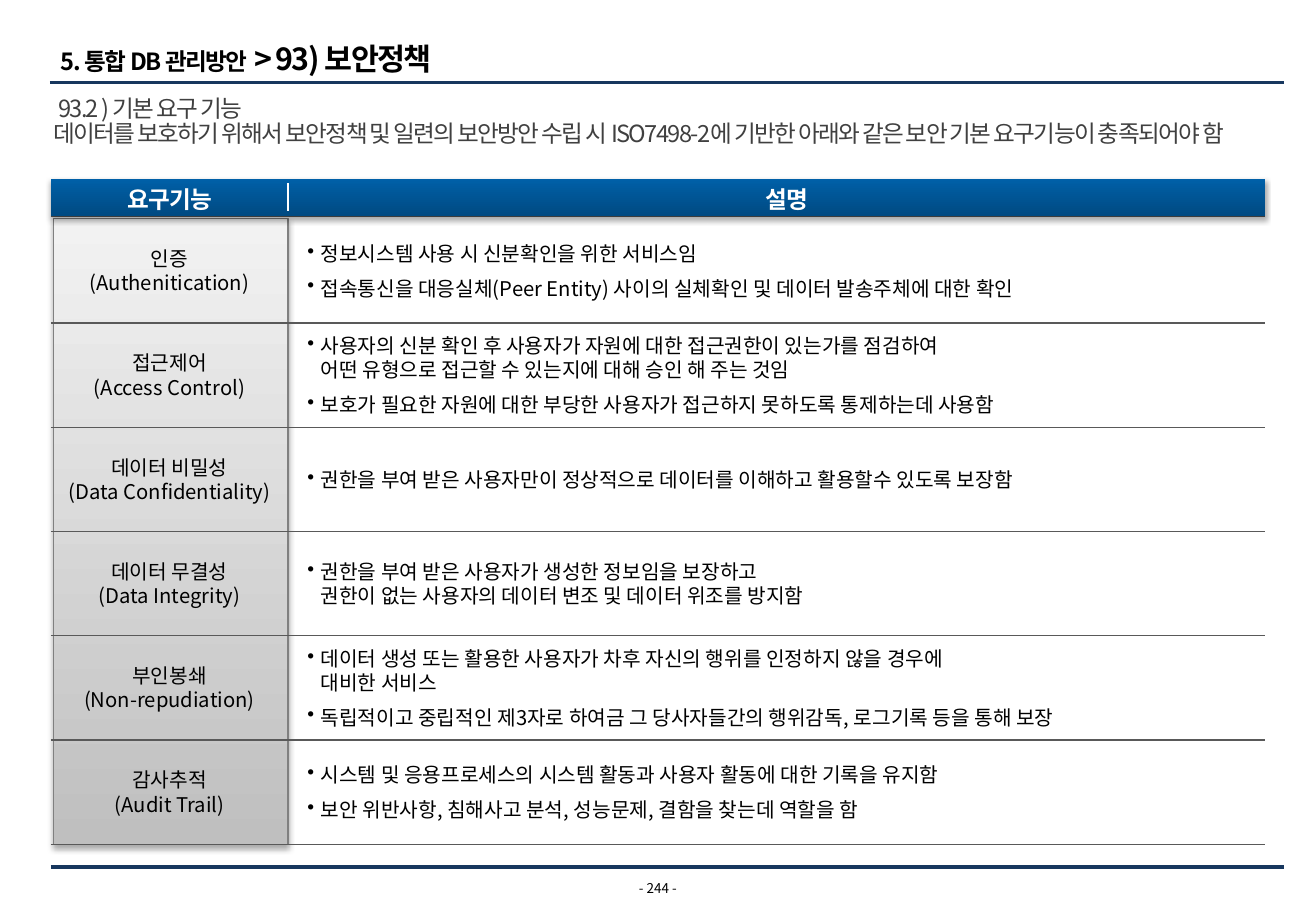
import dataclasses

import lxml.etree
import pptx
import pptx.dml.color
import pptx.enum.shapes
import pptx.enum.text
import pptx.oxml.ns
import pptx.util

Inches = pptx.util.Inches
Pt = pptx.util.Pt
Align = pptx.enum.text.PP_ALIGN
Anchor = pptx.enum.text.MSO_ANCHOR
Shape = pptx.enum.shapes.MSO_SHAPE

FONT = "Noto Sans CJK KR"
COLORS = {
    "text": "000000",
    "intro": "404040",
    "header text": "FFFFFF",
    "frame": "17375E",
    "rule": "595959",
    "label edge": "808080",
    "label bottom": "BFBFBF",
    "label top": "F2F2F2",
    "header bottom": "004A82",
    "header top": "0060A8",
}

# Table geometry in inches
LEFT, RIGHT = 0.42, 10.41
HEADER_TOP, HEADER_HEIGHT = 1.48, 0.32
ROWS_TOP, ROWS_BOTTOM = 1.8, 6.95
HANGING = 0.11


@dataclasses.dataclass(frozen=True)
class Column:
    title: str
    left: float
    width: float


@dataclasses.dataclass(frozen=True)
class Requirement:
    korean: str
    english: str
    points: tuple[str, ...]


LABELS = Column("요구기능", 0.42, 1.95)
DETAILS = Column("설명", 2.53, 7.89)

REQUIREMENTS = (
    Requirement("인증", "(Authenitication)", (
        "정보시스템 사용 시 신분확인을 위한 서비스임",
        "접속통신을 대응실체(Peer Entity) 사이의 실체확인 및 데이터 발송주체에 대한 확인")),
    Requirement("접근제어", "(Access Control)", (
        "사용자의 신분 확인 후 사용자가 자원에 대한 접근권한이 있는가를 점검하여\n"
        "어떤 유형으로 접근할 수 있는지에 대해 승인 해 주는 것임",
        "보호가 필요한 자원에 대한 부당한 사용자가 접근하지 못하도록 통제하는데 사용함")),
    Requirement("데이터 비밀성", "(Data Confidentiality)", (
        "권한을 부여 받은 사용자만이 정상적으로 데이터를 이해하고 활용할수 있도록 보장함",)),
    Requirement("데이터 무결성", "(Data Integrity)", (
        "권한을 부여 받은 사용자가 생성한 정보임을 보장하고\n"
        "권한이 없는 사용자의 데이터 변조 및 데이터 위조를 방지함",)),
    Requirement("부인봉쇄", "(Non-repudiation)", (
        "데이터 생성 또는 활용한 사용자가 차후 자신의 행위를 인정하지 않을 경우에\n대비한 서비스",
        "독립적이고 중립적인 제3자로 하여금 그 당사자들간의 행위감독, 로그기록 등을 통해 보장")),
    Requirement("감사추적", "(Audit Trail)", (
        "시스템 및 응용프로세스의 시스템 활동과 사용자 활동에 대한 기록을 유지함",
        "보안 위반사항, 침해사고 분석, 성능문제, 결함을 찾는데 역할을 함")),
)


def rgb(name: str) -> pptx.dml.color.RGBColor:
    return pptx.dml.color.RGBColor.from_string(COLORS[name])


def add_element(parent, tag: str, **attributes: str):
    element = lxml.etree.SubElement(parent, pptx.oxml.ns.qn(tag))
    for key, value in attributes.items():
        element.set(key, value)
    return element


def write(frame, text: str, *, size: float = 12, color: str = "text", bold: bool = False,
          tracking: float = 0, align=Align.LEFT, hanging: float = 0, bullet: str = "",
          after: float = 0, same_paragraph: bool = False) -> None:
    """Append text to the frame, as a new paragraph unless told otherwise."""
    para = frame.paragraphs[-1]
    if not same_paragraph:
        if para.runs:
            para = frame.add_paragraph()
        properties = para._p.get_or_add_pPr()
        properties.set("marL", str(Inches(hanging)))
        properties.set("indent", str(-Inches(hanging)))
        if bullet:
            add_element(properties, "a:buChar", char=bullet)
        else:
            add_element(properties, "a:buNone")
        para.alignment = align
        para.space_before = Pt(0)
        para.space_after = Pt(after)
    for index, line in enumerate(text.split("\n")):
        if index:
            para.add_line_break()
        span = para.add_run()
        span.text = line
        span.font.name = FONT
        span.font.size = Pt(size)
        span.font.bold = bold
        span.font.color.rgb = rgb(color)
        properties = span._r.get_or_add_rPr()
        properties.set("spc", str(int(tracking * 100)))
        add_element(properties, "a:ea", typeface=FONT)


def place(box, left: float, top: float, width: float, height: float, *,
          anchor=Anchor.TOP, insets: tuple[float, ...] = (0.1, 0.05, 0.1, 0.05)):
    """Position a text holder and return its prepared text frame."""
    box.left, box.top = Inches(left), Inches(top)
    box.width, box.height = Inches(width), Inches(height)
    frame = box.text_frame
    frame.word_wrap = True
    frame.auto_size = pptx.enum.text.MSO_AUTO_SIZE.NONE
    frame.vertical_anchor = anchor
    (frame.margin_left, frame.margin_top,
     frame.margin_right, frame.margin_bottom) = map(Inches, insets)
    return frame


def add_cell(page, left: float, top: float, width: float, height: float):
    box = page.shapes.add_textbox(0, 0, 0, 0)
    return place(box, left, top, width, height, anchor=Anchor.MIDDLE, insets=(0, 0, 0, 0))


def add_rule(page, start: tuple[float, float], end: tuple[float, float],
             color: str = "rule", weight: float = 0.75) -> None:
    rule = page.shapes.add_connector(pptx.enum.shapes.MSO_CONNECTOR.STRAIGHT,
                                     *map(Inches, start + end))
    rule.line.color.rgb = rgb(color)
    rule.line.width = Pt(weight)
    add_element(rule._element.spPr, "a:effectLst")


def add_panel(page, kind, left: float, top: float, width: float, height: float,
              bottom_color: str, top_color: str):
    """Add a vertically shaded panel with a soft shadow below it."""
    panel = page.shapes.add_shape(kind, *map(Inches, (left, top, width, height)))
    panel.fill.gradient()
    panel.fill.gradient_angle = 90
    for stop, color in zip(panel.fill.gradient_stops, (bottom_color, top_color)):
        stop.color.rgb = rgb(color)
    panel.line.fill.background()
    panel.shadow.inherit = False
    effects = panel._element.spPr.find(pptx.oxml.ns.qn("a:effectLst"))
    shadow = add_element(effects, "a:outerShdw", blurRad=str(Pt(3.5)), dist=str(Pt(2.2)),
                         dir="5400000", algn="t", rotWithShape="0")
    add_element(add_element(shadow, "a:srgbClr", val="000000"), "a:alpha", val="32000")
    return panel


def main() -> None:
    deck = pptx.Presentation()
    deck.slide_width, deck.slide_height = Inches(10.83), Inches(7.5)
    page = deck.slides.add_slide(deck.slide_layouts[1])

    # Page frame and number
    add_rule(page, (0.41, 0.68), (10.57, 0.68), "frame", 2.25)
    add_rule(page, (0.42, 7.14), (10.57, 7.14), "frame", 2.25)
    write(add_cell(page, 5.08, 7.25, 0.67, 0.13), "- 244 -", size=8, align=Align.CENTER)

    # Title and introduction
    title = place(page.shapes.title, 0.3, 0.17, 7.12, 0.46, insets=(0.2, 0.16, 0, 0))
    write(title, "5. 통합 DB 관리방안", size=14, bold=True, tracking=-1)
    write(title, " > 93) 보안정책", size=18, bold=True, tracking=-1, same_paragraph=True)
    heading = place(page.shapes.add_textbox(0, 0, 0, 0), 0.38, 0.72, 10.4, 0.34)
    write(heading, "93.2 ) 기본 요구 기능", size=14, color="intro", tracking=-1)
    intro = place(page.placeholders[1], 0.34, 0.93, 10.4, 0.57)
    write(intro, "데이터를 보호하기 위해서 보안정책 및 일련의 보안방안 수립 시 ISO7498-2에 기반한 "
          "아래와 같은 보안 기본 요구기능이 충족되어야 함", size=14, color="intro", tracking=-1)

    # Label column and header band
    labels = add_panel(page, Shape.RECTANGLE, 0.44, ROWS_TOP, 1.93, ROWS_BOTTOM - ROWS_TOP,
                       "label bottom", "label top")
    labels.line.color.rgb = rgb("label edge")
    labels.line.width = Pt(0.75)
    add_rule(page, (LEFT, 1.78), (RIGHT, 1.78))
    header = add_panel(page, Shape.ROUNDED_RECTANGLE, LEFT, 1.47, RIGHT - LEFT, 0.31,
                       "header bottom", "header top")
    header.adjustments[0] = 0
    for column in (LABELS, DETAILS):
        cell = add_cell(page, column.left, HEADER_TOP, column.width, HEADER_HEIGHT)
        write(cell, column.title, size=14, color="header text", bold=True, tracking=-0.5,
              align=Align.CENTER)
    add_rule(page, (2.37, 1.51), (2.37, 1.74), "header text")

    # Requirement rows
    row_height = (ROWS_BOTTOM - ROWS_TOP) / len(REQUIREMENTS)
    for index, requirement in enumerate(REQUIREMENTS):
        top = ROWS_TOP + index * row_height
        label = add_cell(page, LABELS.left, top, LABELS.width, row_height)
        for name in (requirement.korean, requirement.english):
            write(label, name, align=Align.CENTER, hanging=HANGING)
        detail = add_cell(page, DETAILS.left, top, DETAILS.width, row_height)
        for point in requirement.points:
            write(detail, point, hanging=HANGING, bullet="•", after=6)
        add_rule(page, (LEFT, top + row_height), (RIGHT, top + row_height))

    deck.save("out.pptx")


if __name__ == "__main__":
    main()
